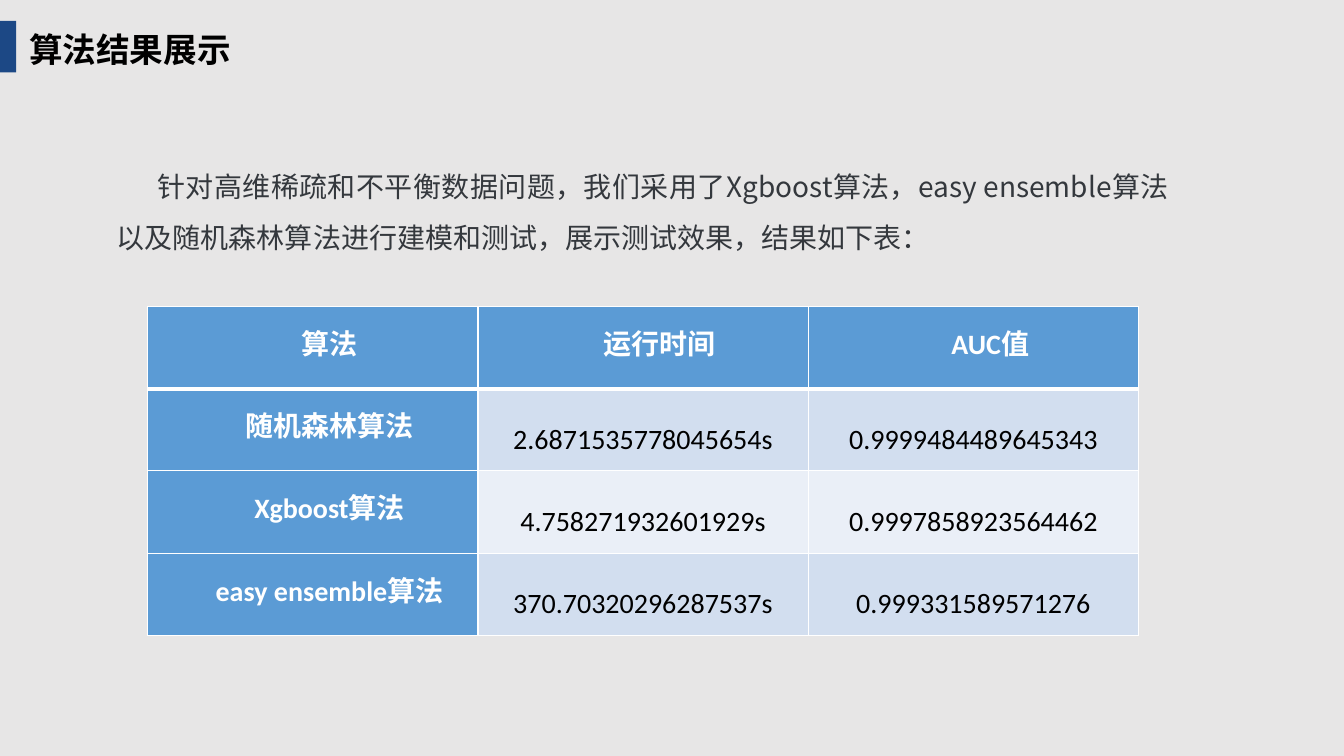
from lxml.etree import SubElement
from pptx import Presentation
from pptx.dml.color import RGBColor
from pptx.enum.shapes import MSO_SHAPE
from pptx.enum.text import MSO_AUTO_SIZE, PP_ALIGN
from pptx.oxml.ns import qn
from pptx.util import Pt

COLORS = {
    "background": "E7E6E6",
    "marker": "1C4885",
    "title": "000000",
    "body": "34383D",
    "head": "5B9BD5",
    "band_dark": "D2DEEF",
    "band_light": "EAEFF7",
    "white": "FFFFFF",
    "value": "000000",
}
CJK = "Noto Sans CJK SC"
LATIN = "Calibri"
INDENT = 24

RESULTS = [
    ["算法", "运行时间", "AUC值"],
    ["随机森林算法", "2.6871535778045654s", "0.9999484489645343"],
    ["Xgboost算法", "4.758271932601929s", "0.9997858923564462"],
    ["easy ensemble算法", "370.70320296287537s", "0.999331589571276"],
]


def rgb(name):
    return RGBColor.from_string(COLORS[name])


class SlideBuilder:
    def __init__(self, prs):
        self.s = prs.slides.add_slide(prs.slide_layouts[6])
        fill = self.s.background.fill
        fill.solid()
        fill.fore_color.rgb = rgb("background")

    def style(self, p, size, color, font=CJK, bold=False, indent=0):
        if indent:
            pPr = p._p.get_or_add_pPr()
            pPr.set("marL", "0")
            pPr.set("indent", str(Pt(indent)))
        for r in p.runs:
            r.font.size = Pt(size)
            r.font.bold = bold
            r.font.name = font
            r.font.color.rgb = rgb(color)
            SubElement(r._r.get_or_add_rPr(), qn("a:ea"), typeface=CJK)

    def rect(self, x, y, w, h, color):
        sp = self.s.shapes.add_shape(MSO_SHAPE.RECTANGLE, Pt(x), Pt(y), Pt(w), Pt(h))
        sp.shadow.inherit = False
        sp.fill.solid()
        sp.fill.fore_color.rgb = rgb(color)
        sp.line.fill.background()

    def text(self, x, y, w, h, text, size, color, wrap=True, bold=False, indent=0):
        tf = self.s.shapes.add_textbox(Pt(x), Pt(y), Pt(w), Pt(h)).text_frame
        tf.word_wrap = wrap
        tf.auto_size = MSO_AUTO_SIZE.SHAPE_TO_FIT_TEXT
        tf.text = text
        p = tf.paragraphs[0]
        self.style(p, size, color, bold=bold, indent=indent)
        return p

    def borders(self, cell, **widths):
        """Draw white cell borders; widths maps L, R, T, B to points."""
        tcPr = cell._tc.get_or_add_tcPr()
        for i, side in enumerate("LRTB"):
            ln = tcPr.makeelement(qn("a:ln" + side), {"w": str(Pt(widths.get(side, 1)))})
            tcPr.insert(i, ln)
            fill = SubElement(ln, qn("a:solidFill"))
            SubElement(fill, qn("a:srgbClr"), val=COLORS["white"])

    def cell(self, cell, text, fill, is_head):
        cell.fill.solid()
        cell.fill.fore_color.rgb = rgb(fill)
        cell.margin_left = cell.margin_right = Pt(5)
        cell.margin_bottom = 0
        cell.margin_top = Pt(20 if is_head else 24.4)
        cell.text = text
        p = cell.text_frame.paragraphs[0]
        p.alignment = PP_ALIGN.CENTER
        if is_head:
            p.line_spacing = Pt(20)
            self.style(p, 20, "white", LATIN, bold=True, indent=INDENT)
        else:
            self.style(p, 20, "value", LATIN)

    def table(self, x, y, w, h, rows):
        table = self.s.shapes.add_table(
            len(rows), len(rows[0]), Pt(x), Pt(y), Pt(w), Pt(h)).table
        for i, row in enumerate(rows):
            for j, text in enumerate(row):
                is_head = i == 0 or j == 0
                band = "band_dark" if i % 2 else "band_light"
                cell = table.cell(i, j)
                self.cell(cell, text, "head" if is_head else band, is_head)
                self.borders(cell, B=3 if i == 0 else 1, T=3 if i == 1 else 1)


def main():
    prs = Presentation()
    prs.slide_width, prs.slide_height = Pt(960), Pt(540)
    slide = SlideBuilder(prs)
    slide.text(13.7, 17.3, 208, 36.7, "算法结果展示", 24, "title", wrap=False, bold=True)
    slide.rect(0, 15, 11.5, 36.7, "marker")
    p = slide.text(
        76.3, 105.8, 765.4, 74.2,
        " 针对高维稀疏和不平衡数据问题，我们采用了Xgboost算法，easy ensemble算法"
        "以及随机森林算法进行建模和测试，展示测试效果，结果如下表：",
        20, "body", indent=INDENT)
    p.alignment = PP_ALIGN.JUSTIFY
    p.line_spacing = 1.5
    slide.table(105.4, 218.9, 708, 235, RESULTS)
    prs.save("out.pptx")


if __name__ == "__main__":
    main()
